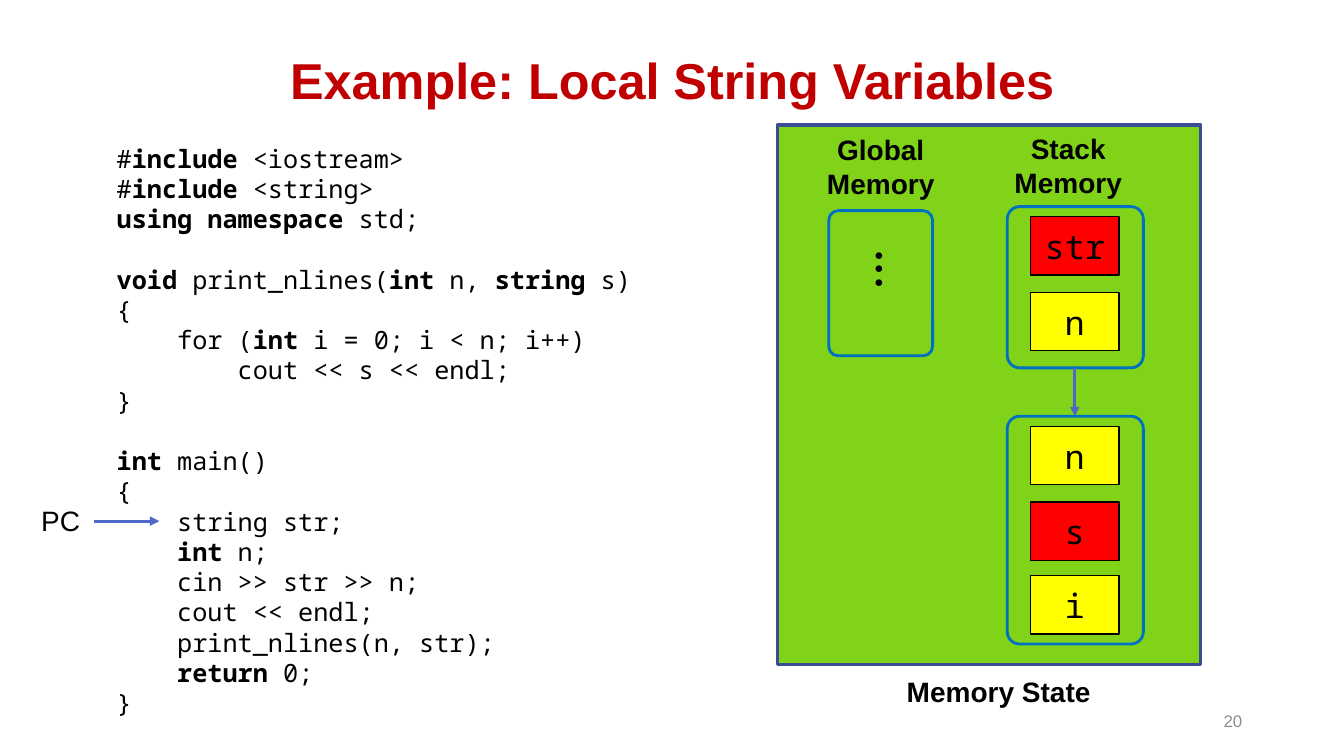
from pptx import Presentation
from pptx import util as u
from pptx.dml.color import RGBColor
from pptx.enum import shapes, text
from pptx.oxml import parse_xml
from pptx.oxml.ns import nsdecls

PX = 9144
COLORS = {
    "title": "C00000", "ink": "000000", "number": "8C8C8C", "panel": "81D31A",
    "panel_edge": "3A4C94", "frame": "0070C0", "arrow": "4E67C8",
    "string": "FF0000", "int": "FFFF00",
}
SANS, MONO = "Arial", "Noto Sans Mono"
LEFT, CENTER, RIGHT = text.PP_ALIGN.LEFT, text.PP_ALIGN.CENTER, text.PP_ALIGN.RIGHT
TOP, MIDDLE = text.MSO_ANCHOR.TOP, text.MSO_ANCHOR.MIDDLE
BLANK_LINE = 21.6
CODE = """#*include* <iostream>
#*include* <string>
*using namespace* std;

*void *print_nlines(*int* n, *string* s)
{
    for (*int *i = 0; i < n; i++)
        cout << s << endl;
}

*int* main()
{
    string str;
    *int* n;
    cin >> str >> n;
    cout << endl;
    print_nlines(n, str);
    *return* 0;
}"""


def rgb(name):
    """Return the named colour."""
    return RGBColor.from_string(COLORS[name])


def emu(*lengths):
    """Turn px lengths into EMU."""
    return [length * PX for length in lengths]


def write(holder, content, size, font=SANS, color="ink", bold=False,
          align=LEFT, anchor=TOP, spacing=None):
    """Write lines of text; asterisks switch bold, an empty line adds a gap."""
    frame = holder.text_frame
    frame.word_wrap = True
    frame.vertical_anchor = anchor
    paragraph, gap = frame.paragraphs[0], 0
    for index, line in enumerate(content.split("\n")):
        if not line:
            gap = BLANK_LINE
            continue
        if index:
            paragraph = frame.add_paragraph()
        if gap:
            paragraph.space_before, gap = u.Pt(gap), 0
        paragraph.alignment = align
        if spacing:
            paragraph.line_spacing = spacing
        for part, words in enumerate(line.split("*")):
            if words:
                run = paragraph.add_run()
                run.text = words
                run.font.size, run.font.name = u.Pt(size), font
                run.font.bold = bold or part % 2 == 1
                run.font.color.rgb = rgb(color)


def label(slide, box, content, size, **style):
    """Add a text box and return it."""
    holder = slide.shapes.add_textbox(*emu(*box))
    write(holder, content, size, **style)
    return holder


def block(slide, box, edge, width, fill=None, rounded=False):
    """Add an outlined rectangle and return it."""
    kind = shapes.MSO_SHAPE.ROUNDED_RECTANGLE if rounded else shapes.MSO_SHAPE.RECTANGLE
    outline = slide.shapes.add_shape(kind, *emu(*box))
    outline.shadow.inherit = False
    if rounded:
        outline.adjustments[0] = 0.091
    if fill:
        outline.fill.solid()
        outline.fill.fore_color.rgb = rgb(fill)
    else:
        outline.fill.background()
    outline.line.color.rgb = rgb(edge)
    outline.line.width = u.Pt(width)
    return outline


def arrow(slide, *ends):
    """Draw an arrow between two points."""
    line = slide.shapes.add_connector(shapes.MSO_CONNECTOR.STRAIGHT, *emu(*ends))
    line.line.color.rgb = rgb("arrow")
    line.line.width = u.Pt(2.25)
    line.line._get_or_add_ln().append(
        parse_xml(f'<a:tailEnd {nsdecls("a")} type="triangle"/>'))
    line._element.spPr.append(parse_xml(f'<a:effectLst {nsdecls("a")}/>'))


def global_memory(slide, left, top):
    """Draw the global memory column."""
    label(slide, (left, top, 149, 77), "Global\nMemory", 20, bold=True, align=CENTER)
    dots = label(slide, (left + 32, top + 140, 84, 29), "● ● ●", 11)
    dots.rotation = 90
    block(slide, (left + 23, top + 82, 103, 144), "frame", 2, rounded=True)


def stack_frame(slide, box, variables):
    """Draw one stack frame with its variables at their offsets."""
    left, top, width, height = box
    block(slide, box, "frame", 2, rounded=True)
    for offset, name, kind in variables:
        cell = block(slide, (left + 23, top + offset, 88, 58), "ink", 1, fill=kind)
        write(cell, name, 24, font=MONO, align=CENTER, anchor=MIDDLE)


def stack_memory(slide, left, top):
    """Draw the stack memory column with its two linked frames."""
    label(slide, (left - 14, top, 149, 77), "Stack\nMemory", 20, bold=True, align=CENTER)
    stack_frame(slide, (left, top + 79, 135, 160),
                [(10, "str", "string"), (85, "n", "int")])
    arrow(slide, left + 67, top + 239, left + 67, top + 287)
    stack_frame(slide, (left, top + 287, 135, 226),
                [(10, "n", "int"), (85, "s", "string"), (158, "i", "int")])


def memory_state(slide, left, top, width, height):
    """Draw the memory panel, its columns and its caption."""
    block(slide, (left, top, width, height), "panel_edge", 2.25, fill="panel")
    global_memory(slide, left + 28, top + 3)
    stack_memory(slide, left + 228, top + 2)
    label(slide, (left + 62, top + height + 5, 315, 44), "Memory State", 20,
          bold=True, align=CENTER)


def program(slide, left, top, width, height):
    """Write the code and point the program counter at its line."""
    label(slide, (left, top, width, height), CODE, 18, font=MONO)
    label(slide, (left - 75, top + 358, 66, 44), "PC", 20)
    arrow(slide, left - 13, top + 380, left + 52, top + 380)


def main():
    """Build and save the slide."""
    deck = Presentation()
    deck.slide_width, deck.slide_height = emu(1333, 750)
    slide = deck.slides.add_slide(deck.slide_layouts[6])
    label(slide, (92, 40, 1150, 86), "Example: Local String Variables", 36,
          color="title", bold=True, align=CENTER, anchor=MIDDLE, spacing=0.9)
    program(slide, 106, 137, 637, 586)
    memory_state(slide, 771, 124, 420, 535)
    label(slide, (942, 695, 300, 40), "20", 12, color="number", align=RIGHT,
          anchor=MIDDLE)
    deck.save("out.pptx")


if __name__ == "__main__":
    main()
